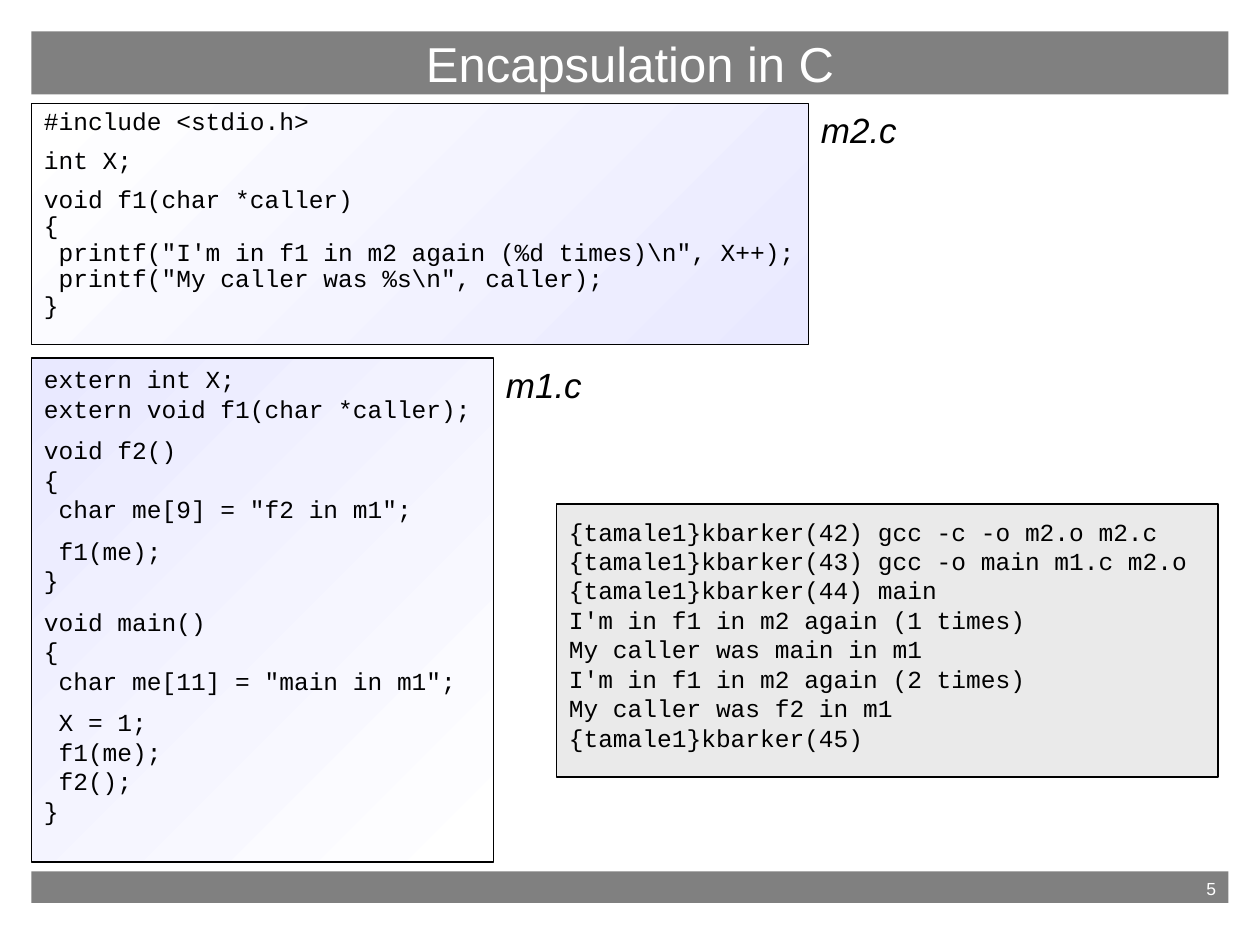
import copy
import pptx
import pptx.util
import pptx.dml.color
import pptx.enum.shapes
import pptx.enum.text

ALIGN = pptx.enum.text.PP_ALIGN
ANCHOR = pptx.enum.text.MSO_ANCHOR

deck = pptx.Presentation()
deck.slide_width = pptx.util.Inches(10)
deck.slide_height = pptx.util.Inches(7.5)
slide = deck.slides.add_slide(deck.slide_layouts[6])
column = deck.slide_width / 120
row = deck.slide_height / 90


def rgb(value):
    return pptx.dml.color.RGBColor.from_string(value)


def put_text(text, *, at, fill=None, line=None, font="Courier New", size=14,
             color="000000", italic=False, align=ALIGN.LEFT, anchor=ANCHOR.TOP,
             wrap=True, inset=0.05, gap=7, spacing=1.0):
    left, top, width, height = at
    box = slide.shapes.add_shape(
        pptx.enum.shapes.MSO_SHAPE.RECTANGLE,
        round(left * column), round(top * row),
        round(width * column), round(height * row))
    box.shadow.inherit = False
    if fill is None:
        box.fill.background()
    elif isinstance(fill, str):
        box.fill.solid()
        box.fill.fore_color.rgb = rgb(fill)
    else:
        box.fill.gradient()
        box.fill.gradient_angle = 315
        for stop, shade in zip(box.fill.gradient_stops, fill):
            stop.color.rgb = rgb(shade)
    if line:
        box.line.color.rgb = rgb(line)
        box.line.width = pptx.util.Pt(0.75)
    else:
        box.line.fill.background()
    frame = box.text_frame
    frame.word_wrap = wrap
    frame.vertical_anchor = anchor
    frame.margin_left = frame.margin_right = pptx.util.Inches(0.1)
    frame.margin_top = frame.margin_bottom = pptx.util.Inches(inset)
    for index, block in enumerate(text.split("\n\n")):
        paragraph = frame.add_paragraph() if index else frame.paragraphs[0]
        paragraph.text = block.replace("\n", "\v")
        paragraph.alignment = align
        paragraph.line_spacing = spacing
        paragraph.space_before = pptx.util.Pt(gap if index else 0)
        for run in paragraph.runs:
            run.font.name = font
            run.font.size = pptx.util.Pt(size)
            run.font.italic = italic
            run.font.color.rgb = rgb(color)
        for line_break in paragraph._p.br_lst if hasattr(paragraph._p, "br_lst") else paragraph._p.findall(
                "{http://schemas.openxmlformats.org/drawingml/2006/main}br"):
            line_break.append(copy.deepcopy(paragraph.runs[0]._r.rPr))


m2_code = r"""#include <stdio.h>

int X;

void f1(char *caller)
{
 printf("I'm in f1 in m2 again (%d times)\n", X++);
 printf("My caller was %s\n", caller);
}"""

m1_code = """extern int X;
extern void f1(char *caller);

void f2()
{
 char me[9] = "f2 in m1";

 f1(me);
}

void main()
{
 char me[11] = "main in m1";

 X = 1;
 f1(me);
 f2();
}"""

session = """{tamale1}kbarker(42) gcc -c -o m2.o m2.c
{tamale1}kbarker(43) gcc -o main m1.c m2.o
{tamale1}kbarker(44) main
I'm in f1 in m2 again (1 times)
My caller was main in m1
I'm in f1 in m2 again (2 times)
My caller was f2 in m1
{tamale1}kbarker(45)"""

put_text("5", at=(3, 83, 114, 3), fill="808080", font="Arial", size=10,
         color="FFFFFF", align=ALIGN.RIGHT)
put_text("Encapsulation in C", at=(3, 3, 114, 6), fill="808080", font="Arial",
         size=28, color="FFFFFF", align=ALIGN.CENTER, anchor=ANCHOR.MIDDLE)
put_text(session, at=(53, 48, 63, 26), fill="EAEAEA", line="000000", inset=0.1)
put_text(m1_code, at=(3, 34.1, 44, 48), fill=("E9E9FF", "FFFFFF"), line="000000")
put_text(m2_code, at=(3, 9.85, 74, 23), fill=("FFFFFF", "E9E9FF"), line="000000",
         spacing=0.9)
for file_name, left, top in (("m1.c", 47, 34), ("m2.c", 77, 9.75)):
    put_text(file_name, at=(left, top, 9.6, 5.25), font="Arial", size=20,
             italic=True, align=ALIGN.CENTER, anchor=ANCHOR.MIDDLE, wrap=False)

deck.save("out.pptx")
